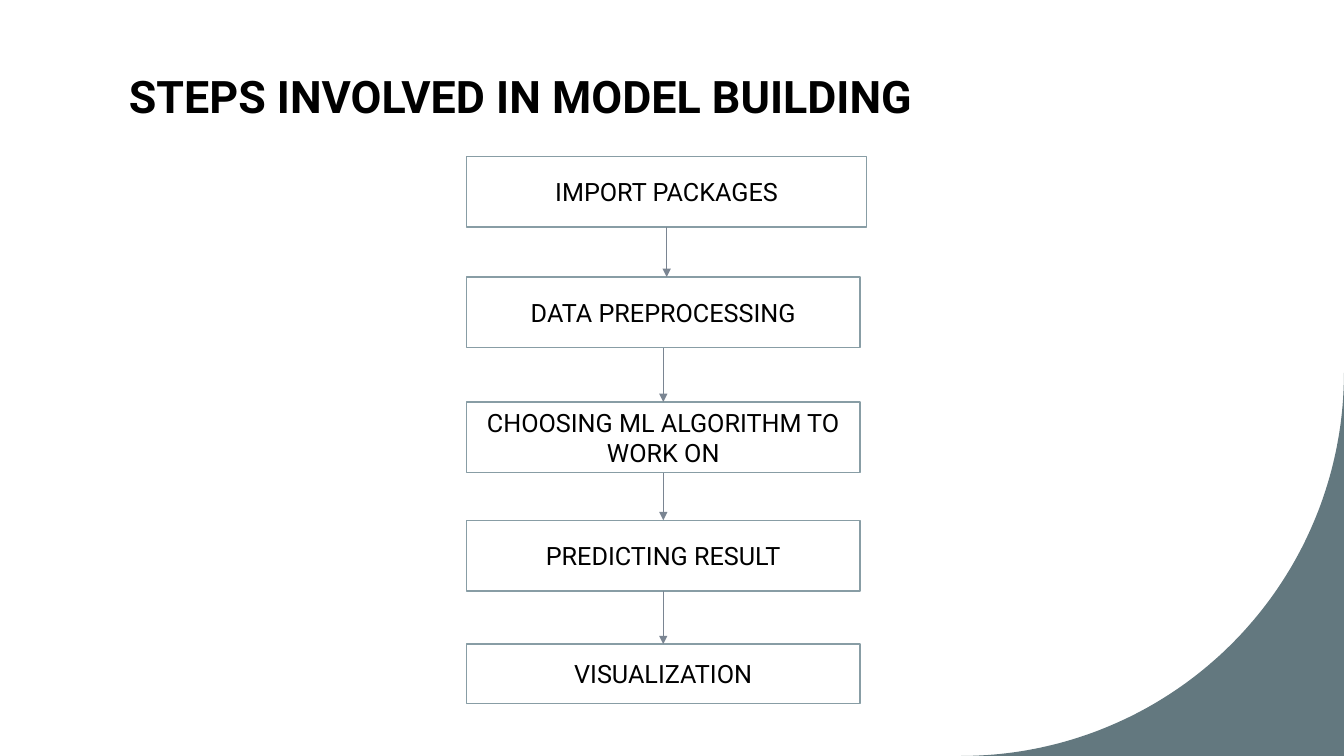
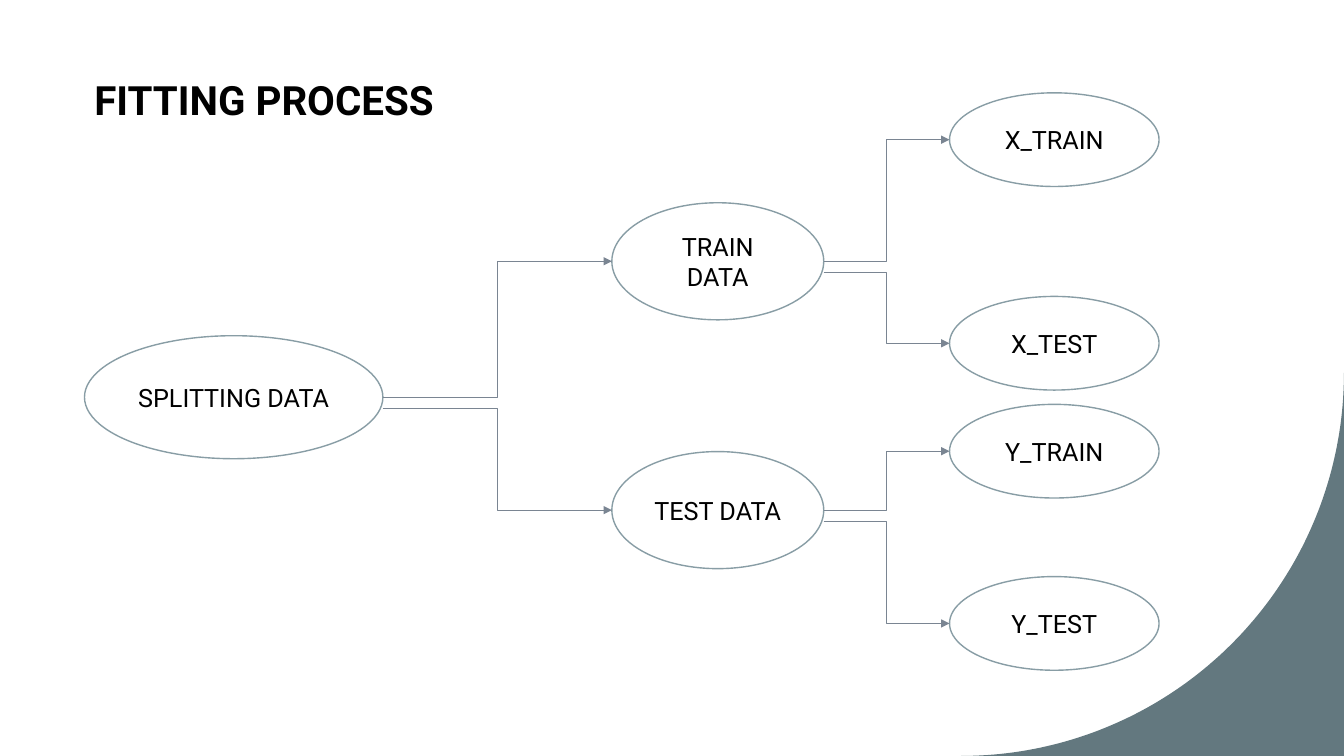
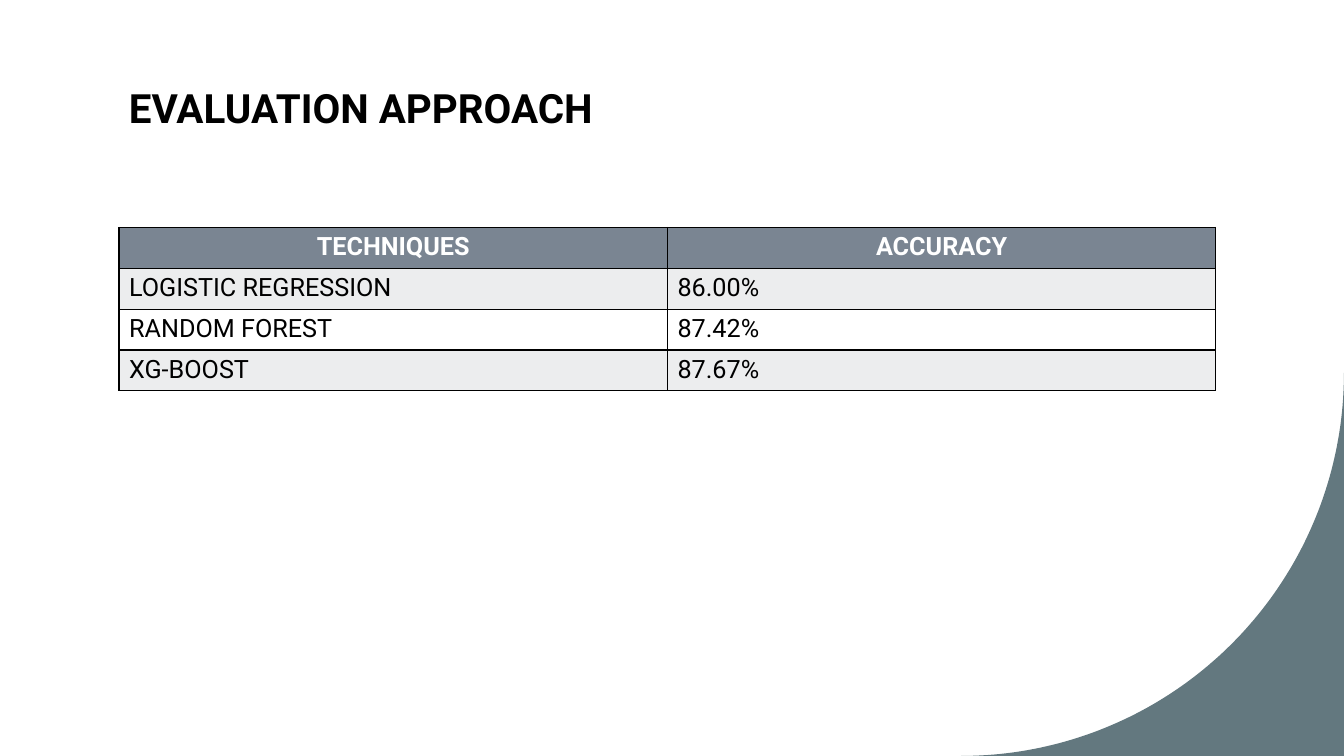
import math
from dataclasses import dataclass

from lxml import etree
from pptx import Presentation
from pptx.dml.color import RGBColor
from pptx.enum import shapes, text
from pptx.oxml import ns
from pptx.util import Cm, Pt


@dataclass(frozen=True)
class Theme:
    font: str = "Roboto"
    ink: str = "000000"
    paper: str = "FFFFFF"
    corner: str = "63787F"
    outline: str = "889DA5"
    accent: str = "7A8592"
    band: str = "ECEDEE"
    title_large: float = 32
    title_small: float = 28.8
    body: float = 18
    outline_width: float = 1
    arrow_width: float = 0.5


THEME = Theme()
SLIDE_WIDTH, SLIDE_HEIGHT = 33.87, 19.05
CORNER_RADIUS = 9.65
CONTENT_WIDTH = 27.64
TITLE_HEIGHT = 1.78
BRANCH_GAP = 0.28


def color(value):
    return RGBColor.from_string(value)


def paint(shape, fill, line=None):
    shape.shadow.inherit = False
    shape.fill.solid()
    shape.fill.fore_color.rgb = color(fill)
    if line:
        shape.line.color.rgb = color(line)
        shape.line.width = Pt(THEME.outline_width)
    else:
        shape.line.fill.background()


def write(frame, content, size=THEME.body, ink=THEME.ink, bold=False, align=text.PP_ALIGN.LEFT):
    frame.text = content
    frame.word_wrap = True
    paragraph = frame.paragraphs[0]
    paragraph.alignment = align
    font = paragraph.runs[0].font
    font.name = THEME.font
    font.size = Pt(size)
    font.bold = bold
    font.color.rgb = color(ink)


def add_corner(slide):
    center_x = SLIDE_WIDTH - CORNER_RADIUS
    center_y = SLIDE_HEIGHT - CORNER_RADIUS
    angles = [math.radians(degree) for degree in range(91)]
    arc = [
        (Cm(center_x + CORNER_RADIUS * math.cos(angle)), Cm(center_y + CORNER_RADIUS * math.sin(angle)))
        for angle in angles
    ]
    builder = slide.shapes.build_freeform(Cm(SLIDE_WIDTH), Cm(SLIDE_HEIGHT))
    builder.add_line_segments(arc, close=True)
    paint(builder.convert_to_shape(), THEME.corner)


def add_title(slide, content, left, bottom, size):
    box = slide.shapes.add_textbox(Cm(left), Cm(bottom - TITLE_HEIGHT), Cm(CONTENT_WIDTH), Cm(TITLE_HEIGHT))
    write(box.text_frame, content, size, bold=True)
    box.text_frame.vertical_anchor = text.MSO_ANCHOR.BOTTOM
    box.text_frame.paragraphs[0].line_spacing = 1.1


def new_slide(presentation, title, left, bottom, size=THEME.title_small):
    slide = presentation.slides.add_slide(presentation.slide_layouts[6])
    add_corner(slide)
    add_title(slide, title, left, bottom, size)
    return slide


def add_node(slide, kind, content, left, top, width, height):
    node = slide.shapes.add_shape(kind, Cm(left), Cm(top), Cm(width), Cm(height))
    paint(node, THEME.paper, THEME.outline)
    write(node.text_frame, content, align=text.PP_ALIGN.CENTER)
    node.text_frame.vertical_anchor = text.MSO_ANCHOR.MIDDLE
    return node


def add_arrow(slide, kind, start, end):
    arrow = slide.shapes.add_connector(kind, *start, *end)
    arrow.line.color.rgb = color(THEME.accent)
    arrow.line.width = Pt(THEME.arrow_width)
    etree.SubElement(arrow.line._get_or_add_ln(), ns.qn("a:tailEnd"), type="triangle")
    etree.SubElement(arrow._element.spPr, ns.qn("a:effectLst"))
    return arrow


def add_step_arrow(slide, upper, lower):
    middle = upper.left + upper.width // 2
    start, end = (middle, upper.top + upper.height), (middle, lower.top)
    add_arrow(slide, shapes.MSO_CONNECTOR.STRAIGHT, start, end)


def add_branches(slide, parent, children):
    right = parent.left + parent.width
    middle = parent.top + parent.height // 2
    for index, child in enumerate(children):
        start = (right, middle + index * Cm(BRANCH_GAP))
        end = (child.left, child.top + child.height // 2)
        add_arrow(slide, shapes.MSO_CONNECTOR.ELBOW, start, end)


def set_borders(cell):
    properties = cell._tc.get_or_add_tcPr()
    for side in ("lnL", "lnR", "lnT", "lnB"):
        line = etree.SubElement(properties, ns.qn(f"a:{side}"), w=str(Pt(THEME.outline_width)))
        fill = etree.SubElement(line, ns.qn("a:solidFill"))
        etree.SubElement(fill, ns.qn("a:srgbClr"), val=THEME.ink)


def add_grid(slide, rows, left, top, row_height):
    frame = slide.shapes.add_table(
        len(rows), len(rows[0]), Cm(left), Cm(top), Cm(CONTENT_WIDTH), Cm(row_height * len(rows))
    )
    for row_index, row in enumerate(rows):
        header = row_index == 0
        banded = THEME.band if row_index % 2 else THEME.paper
        for column_index, content in enumerate(row):
            cell = frame.table.cell(row_index, column_index)
            set_borders(cell)
            cell.fill.solid()
            cell.fill.fore_color.rgb = color(THEME.accent if header else banded)
            write(
                cell.text_frame,
                content,
                ink=THEME.paper if header else THEME.ink,
                bold=header,
                align=text.PP_ALIGN.CENTER if header else text.PP_ALIGN.LEFT,
            )


def build_steps(presentation):
    slide = new_slide(presentation, "STEPS INVOLVED IN MODEL BUILDING", 3, 3.2, THEME.title_large)
    steps = [
        ("IMPORT PACKAGES", 3.94, 10.08, 1.78),
        ("DATA PREPROCESSING", 6.98, 9.91, 1.78),
        ("CHOOSING ML ALGORITHM TO WORK ON", 10.13, 9.91, 1.78),
        ("PREDICTING RESULT", 13.11, 9.91, 1.78),
        ("VISUALIZATION", 16.23, 9.91, 1.5),
    ]
    boxes = [
        add_node(slide, shapes.MSO_SHAPE.RECTANGLE, label, 11.76, top, width, height)
        for label, top, width, height in steps
    ]
    for upper, lower in zip(boxes, boxes[1:]):
        add_step_arrow(slide, upper, lower)


def build_fitting(presentation):
    slide = new_slide(presentation, "FITTING PROCESS", 2.13, 3.25)
    oval = shapes.MSO_SHAPE.OVAL
    root = add_node(slide, oval, "SPLITTING DATA", 2.13, 8.46, 7.52, 3.1)
    groups = [
        ("TRAIN DATA", 5.11, [("X_TRAIN", 2.34), ("X_TEST", 7.47)]),
        ("TEST DATA", 11.38, [("Y_TRAIN", 10.19), ("Y_TEST", 14.53)]),
    ]
    subsets = []
    for label, top, leaves in groups:
        subset = add_node(slide, oval, label, 15.42, top, 5.34, 2.95)
        subsets.append(subset)
        leaf_nodes = [add_node(slide, oval, leaf, 23.93, leaf_top, 5.28, 2.36) for leaf, leaf_top in leaves]
        add_branches(slide, subset, leaf_nodes)
    add_branches(slide, root, subsets)


def build_evaluation(presentation):
    slide = new_slide(presentation, "EVALUATION APPROACH", 3, 3.43)
    rows = [
        ("TECHNIQUES", "ACCURACY"),
        ("LOGISTIC REGRESSION", "86.00%"),
        ("RANDOM FOREST", "87.42%"),
        ("XG-BOOST", "87.67%"),
    ]
    add_grid(slide, rows, 3, 5.73, 1.03)


def main():
    presentation = Presentation()
    presentation.slide_width = Cm(SLIDE_WIDTH)
    presentation.slide_height = Cm(SLIDE_HEIGHT)
    build_steps(presentation)
    build_fitting(presentation)
    build_evaluation(presentation)
    presentation.save("out.pptx")


if __name__ == "__main__":
    main()
